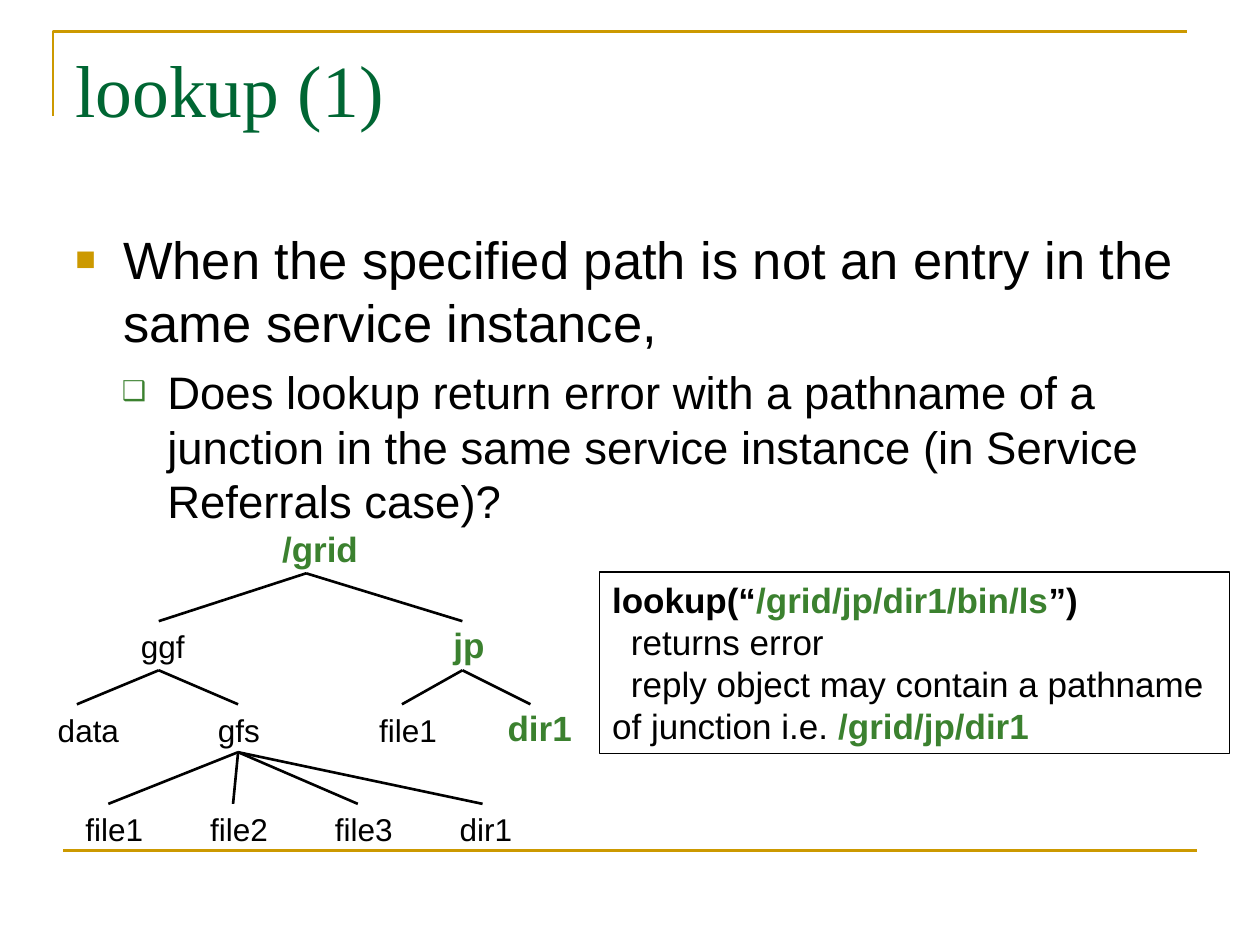
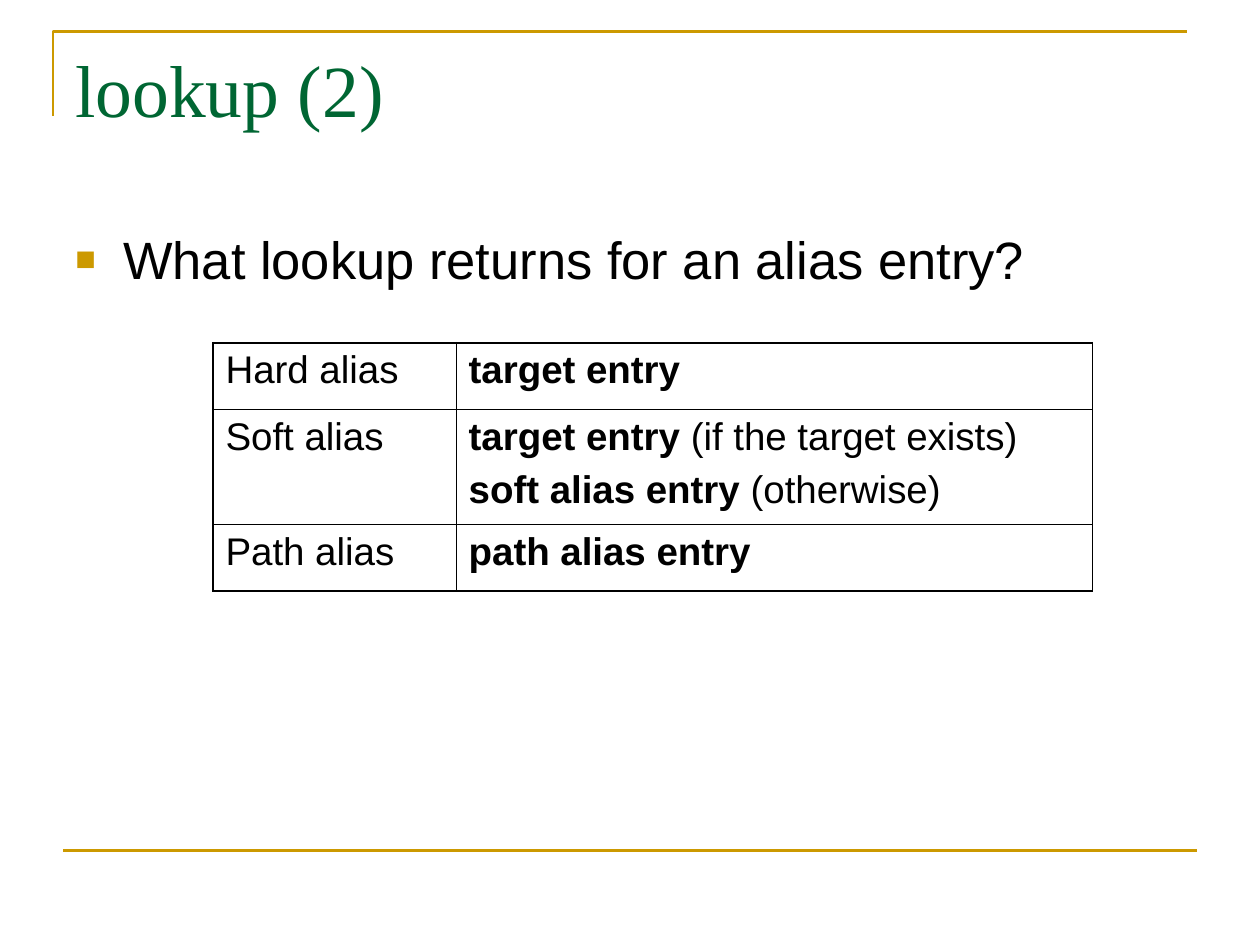
import pptx
import pptx.util
import pptx.dml.color
import pptx.enum.shapes
import pptx.enum.text
import pptx.oxml
import pptx.oxml.ns
import lxml.etree

WIDTH, HEIGHT = 10, 7.5
GOLD, PINE, LEAF, BLACK = "CC9900", "006633", "3B812F", "000000"
SANS, SERIF = "Arial", "Times New Roman"

BULLETS = [
    {"char": "■", "color": GOLD, "percent": 65, "size": 30, "margin": 0.38, "hang": 0.38, "before": 7.5},
    {"char": "❑", "color": LEAF, "percent": 60, "size": 26, "margin": 0.73, "hang": 0.36, "before": 6.5},
]

SLIDES = [
    {"title": "lookup (1)", "points": [
        (0, "When the specified path is not an entry in the same service instance,"),
        (1, "Does lookup return error with a pathname of a junction in the same "
            "service instance (in Service Referrals case)?")]},
    {"title": "lookup (2)", "points": [(0, "What lookup returns for an alias entry?")]},
]

LEVEL_TOPS = [4.17, 4.93, 5.59, 6.38]
LEVEL_BOTTOMS = [4.55, 5.32, 5.97]
LABEL_WIDTH, LABEL_HEIGHT = 0.82, 0.4
HIGHLIGHT_RISE = 0.03
ENTRY_LEFT, ENTRY_PITCH, ENTRY_STEM = 0.58, 0.99, 0.28

# key: (label, parent, level, left, stem, highlighted)
TREE = {
    "root": ("/grid", None, 0, 2.14, 0.29, True),
    "ggf": ("ggf", "root", 1, 1.02, 0.24, False),
    "jp": ("jp", "root", 1, 3.5, 0.17, True),
    "data": ("data", "ggf", 2, 0.36, 0.25, False),
    "gfs": ("gfs", "ggf", 2, 1.63, 0.26, False),
    "jp file": ("file1", "jp", 2, 2.91, 0.28, False),
    "jp dir": ("dir1", "jp", 2, 3.93, 0.28, True),
}
GFS_ENTRIES = ["file1", "file2", "file3", "dir1"]

REPLY_AT = (4.76, 4.54, 5, 1.44)
REPLY = [
    (0, [("lookup(“", BLACK, True), ("/grid/jp/dir1/bin/ls", LEAF, True), ("”)", BLACK, True)]),
    (0.15, [("returns error", BLACK, False)]),
    (0.15, [("reply object may contain a pathname of junction i.e. ", BLACK, False),
            ("/grid/jp/dir1", LEAF, True)]),
]

ALIAS_AT = (1.69, 2.72)
ALIAS_COLUMNS = [1.93, 5.05]
ALIAS_ROWS = [0.53, 0.91, 0.53]
ALIASES = [
    ("Hard alias", [("target entry", "")]),
    ("Soft alias", [("target entry", " (if the target exists)"), ("soft alias entry", " (otherwise)")]),
    ("Path alias", [("path alias entry", "")]),
]
OUTER, INNER = 1.08, 0.45


def inches(*values):
    return [pptx.util.Inches(value) for value in values]


def rgb(color):
    return pptx.dml.color.RGBColor.from_string(color)


def add_span(para, text, size=18, color=BLACK, bold=False, font=SANS):
    span = para.add_run()
    span.text = text
    span.font.size = pptx.util.Pt(size)
    span.font.color.rgb = rgb(color)
    span.font.bold = bold
    span.font.name = font


def next_para(frame, index, before=0):
    para = frame.add_paragraph() if index else frame.paragraphs[0]
    para.alignment = pptx.enum.text.PP_ALIGN.LEFT
    para.space_before = pptx.util.Pt(before if index else 0)
    return para


def add_box(page, at):
    box = page.shapes.add_textbox(*inches(*at))
    box.text_frame.word_wrap = True
    return box.text_frame


def add_line(page, start, end, color=BLACK):
    line = page.shapes.add_connector(
        pptx.enum.shapes.MSO_CONNECTOR.STRAIGHT, *inches(*start, *end))
    line.line.color.rgb = rgb(color)
    line.line.width = pptx.util.Pt(1.5)
    lxml.etree.SubElement(line._element.spPr, pptx.oxml.ns.qn("a:effectLst"))


def set_bullet(para, style):
    properties = para._p.get_or_add_pPr()
    properties.set("marL", str(pptx.util.Inches(style["margin"])))
    properties.set("indent", str(-pptx.util.Inches(style["hang"])))
    space = pptx.oxml.ns.nsdecls("a")
    for markup in (
            f'<a:buClr {space}><a:srgbClr val="{style["color"]}"/></a:buClr>',
            f'<a:buSzPct {space} val="{style["percent"] * 1000}"/>',
            f'<a:buFont {space} typeface="{SANS}"/>',
            f'<a:buChar {space} char="{style["char"]}"/>'):
        properties.append(pptx.oxml.parse_xml(markup))


def add_base(deck, title, points):
    page = deck.slides.add_slide(deck.slide_layouts[6])
    builder = page.shapes.build_freeform(*inches(0.42, 0.92))
    builder.add_line_segments([inches(0.42, 0.25), inches(9.42, 0.25)], close=False)
    corner = builder.convert_to_shape()
    corner.shadow.inherit = False
    corner.fill.background()
    corner.line.color.rgb = rgb(GOLD)
    corner.line.width = pptx.util.Pt(1.5)
    add_line(page, (0.05 * WIDTH, 0.9 * HEIGHT), (0.95 * WIDTH, 0.9 * HEIGHT), GOLD)

    frame = add_box(page, (0.5, 0.3, 9, 1.25))
    add_span(next_para(frame, 0), title, size=42, color=PINE, font=SERIF)

    frame = add_box(page, (0.5, 1.75, 9, 2.56))
    for index, (level, text) in enumerate(points):
        style = BULLETS[level]
        para = next_para(frame, index, style["before"])
        set_bullet(para, style)
        add_span(para, text, size=style["size"])
    return page


def add_tree(page):
    nodes = dict(TREE)
    for index, label in enumerate(GFS_ENTRIES):
        left = ENTRY_LEFT + index * ENTRY_PITCH
        nodes["gfs", index] = (label, "gfs", 3, left, ENTRY_STEM, False)
    for label, parent, level, left, stem, highlighted in nodes.values():
        top = LEVEL_TOPS[level] - (HIGHLIGHT_RISE if highlighted else 0)
        frame = add_box(page, (left, top, LABEL_WIDTH, LABEL_HEIGHT))
        add_span(next_para(frame, 0), label, bold=highlighted,
                 size=20 if highlighted else 18, color=LEAF if highlighted else BLACK)
        if parent:
            parent_left, parent_stem = nodes[parent][3:5]
            add_line(page, (parent_left + parent_stem, LEVEL_BOTTOMS[level - 1]),
                     (left + stem, LEVEL_TOPS[level]))


def add_reply(page):
    box = page.shapes.add_shape(pptx.enum.shapes.MSO_SHAPE.RECTANGLE, *inches(*REPLY_AT))
    box.shadow.inherit = False
    box.fill.background()
    box.line.color.rgb = rgb(BLACK)
    box.line.width = pptx.util.Pt(0.75)
    frame = box.text_frame
    frame.word_wrap = True
    frame.vertical_anchor = pptx.enum.text.MSO_ANCHOR.TOP
    for index, (indent, spans) in enumerate(REPLY):
        para = next_para(frame, index)
        para._p.get_or_add_pPr().set("indent", str(pptx.util.Inches(indent)))
        for text, color, bold in spans:
            add_span(para, text, size=20, color=color, bold=bold)


def set_borders(cell, edges):
    properties = cell._tc.get_or_add_tcPr()
    for side, is_outer in edges.items():
        width = pptx.util.Pt(OUTER if is_outer else INNER)
        properties.append(pptx.oxml.parse_xml(
            f'<a:ln{side} {pptx.oxml.ns.nsdecls("a")} w="{width}"><a:solidFill>'
            f'<a:srgbClr val="{BLACK}"/></a:solidFill></a:ln{side}>'))


def add_aliases(page):
    rows, columns = len(ALIAS_ROWS), len(ALIAS_COLUMNS)
    table = page.shapes.add_table(
        rows, columns, *inches(*ALIAS_AT, sum(ALIAS_COLUMNS), sum(ALIAS_ROWS))).table
    table.first_row = table.horz_banding = False
    for column, width in zip(table.columns, ALIAS_COLUMNS):
        column.width = pptx.util.Inches(width)
    for row, (alias, results) in enumerate(ALIASES):
        table.rows[row].height = pptx.util.Inches(ALIAS_ROWS[row])
        for column, lines in enumerate(([("", alias)], results)):
            cell = table.cell(row, column)
            set_borders(cell, {"L": column == 0, "R": column == columns - 1,
                               "T": row == 0, "B": row == rows - 1})
            cell.fill.background()
            for index, (strong, plain) in enumerate(lines):
                para = next_para(cell.text_frame, index, before=5.5)
                for text, bold in ((strong, True), (plain, False)):
                    if text:
                        add_span(para, text, size=22, bold=bold)


def main():
    deck = pptx.Presentation()
    deck.slide_width, deck.slide_height = inches(WIDTH, HEIGHT)
    tree_page, alias_page = [add_base(deck, **content) for content in SLIDES]
    add_tree(tree_page)
    add_reply(tree_page)
    add_aliases(alias_page)
    deck.save("out.pptx")


if __name__ == "__main__":
    main()
